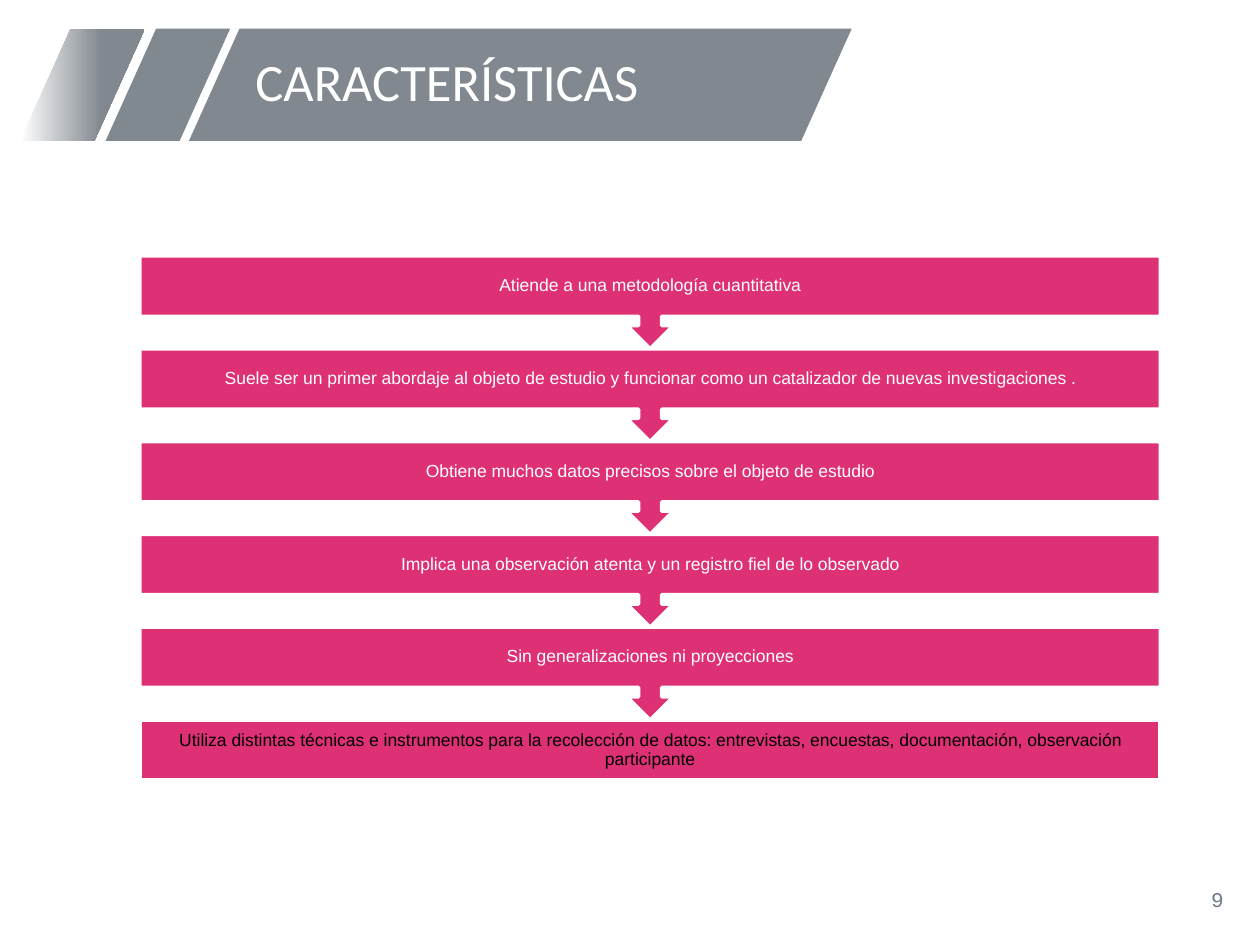
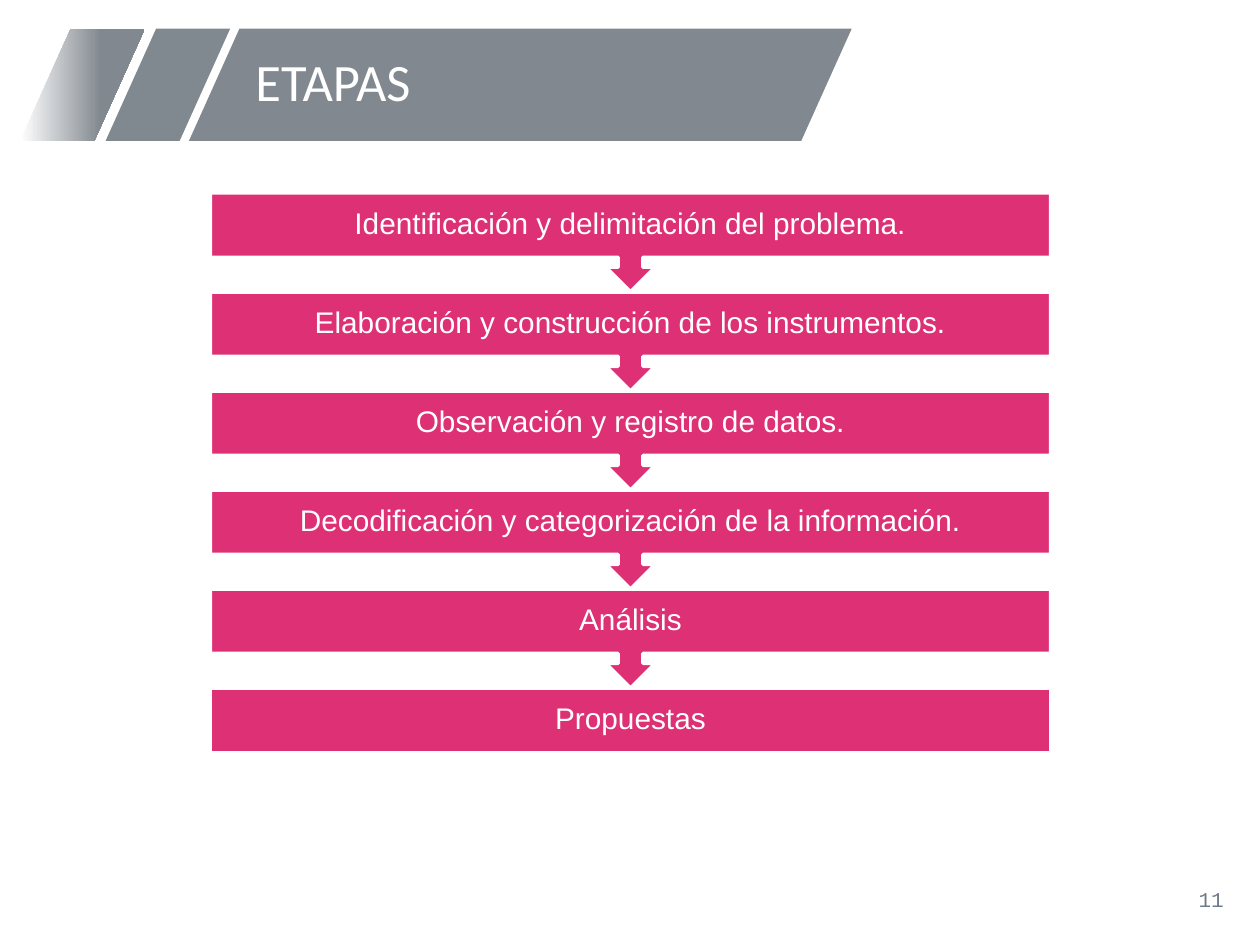
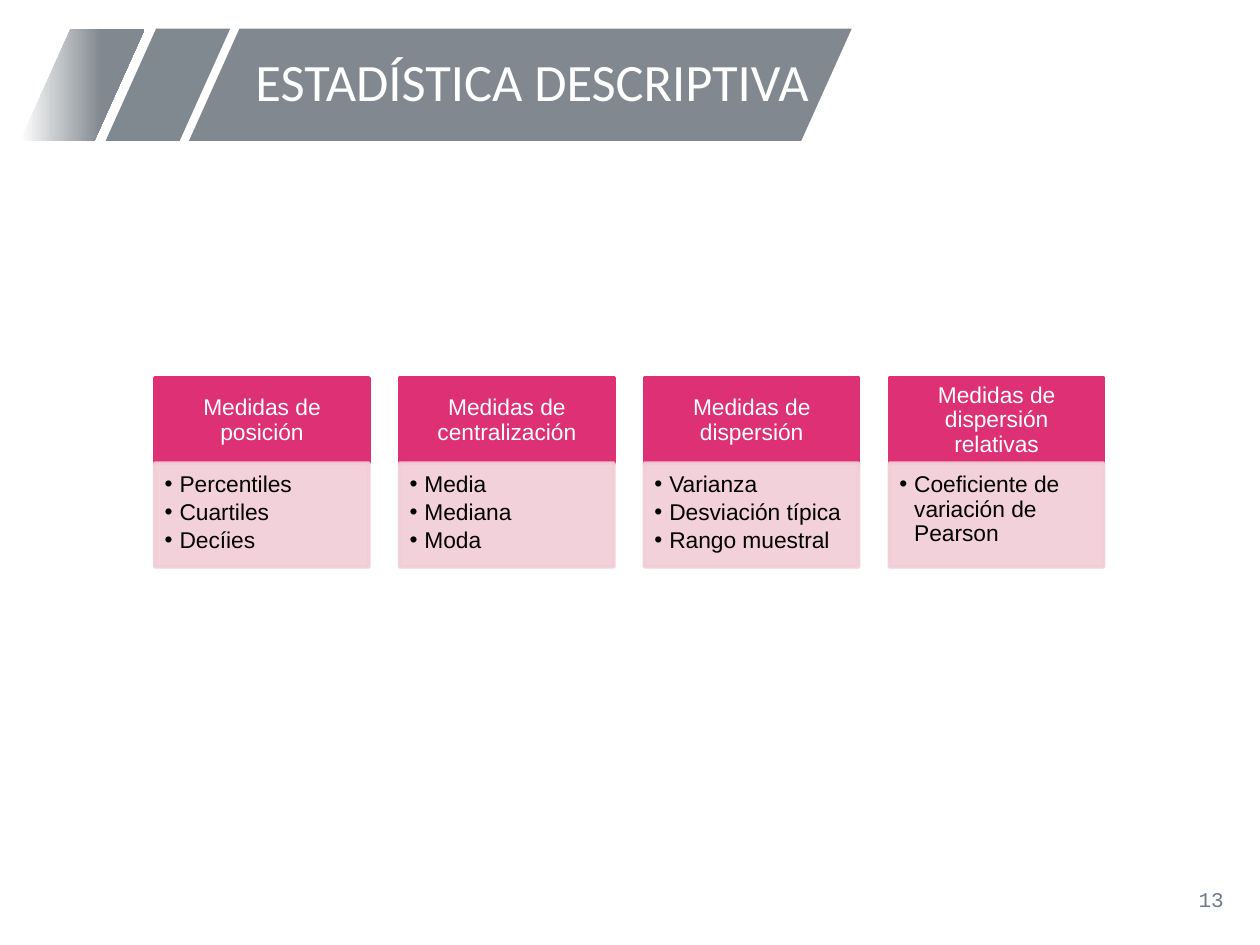
from lxml import etree
from pptx import Presentation
from pptx import util as u
from pptx.dml.color import RGBColor
from pptx.enum import shapes, text
from pptx.oxml import ns

COLORS = {
    "white": "FFFFFF",
    "black": "000000",
    "pink": "DE3075",
    "pale": "F2CDD6",
    "band": "81888F",
    "stripe": "818990",
    "number": "6C7A8A",
}
SHAPE = shapes.MSO_SHAPE
ALIGN = text.PP_ALIGN
ANCHOR = text.MSO_ANCHOR
BODY_RATIO = 0.65
HEAD_RATIO = 0.45

CHARACTERISTICS = [
    "Atiende a una metodología cuantitativa",
    "Suele ser un primer abordaje al objeto de estudio y funcionar como un catalizador de nuevas investigaciones .",
    "Obtiene muchos datos precisos sobre el objeto de estudio",
    "Implica una observación atenta y un registro fiel de lo observado",
    "Sin generalizaciones ni proyecciones",
    "Utiliza distintas técnicas e instrumentos para la recolección de datos: entrevistas, encuestas, "
    "documentación, observación participante",
]
STAGES = [
    "Identificación y delimitación del problema.",
    "Elaboración y construcción de los instrumentos.",
    "Observación y registro de datos.",
    "Decodificación y categorización de la información.",
    "Análisis",
    "Propuestas",
]
MEASURES = {
    "Medidas de posición": ["Percentiles", "Cuartiles", "Decíies"],
    "Medidas de centralización": ["Media", "Mediana", "Moda"],
    "Medidas de dispersión": ["Varianza", "Desviación típica", "Rango muestral"],
    "Medidas de dispersión relativas": ["Coeficiente de variación de Pearson"],
}


def rgb(name):
    return RGBColor.from_string(COLORS[name])


def cm(*lengths):
    return [u.Cm(length) for length in lengths]


def add_block(s, kind, box, fill, line=None):
    sp = s.shapes.add_shape(kind, *cm(*box))
    sp.shadow.inherit = False
    sp.fill.solid()
    sp.fill.fore_color.rgb = rgb(fill)
    if line:
        sp.line.color.rgb = rgb(line)
        sp.line.width = u.Pt(2)
    else:
        sp.line.fill.background()
    return sp


def set_alpha(sp, percent):
    for color in sp.element.spPr.iter(ns.qn("a:srgbClr")):
        etree.SubElement(color, ns.qn("a:alpha"), val=str(percent * 1000))


def add_bullet(p, indent):
    pPr = p._p.get_or_add_pPr()
    pPr.set("marL", str(u.Cm(indent)))
    pPr.set("indent", str(-u.Cm(indent)))
    etree.SubElement(pPr, ns.qn("a:buFont"), typeface="Arial")
    etree.SubElement(pPr, ns.qn("a:buChar"), char="•")


def write(sp, lines, size, color="white", font="Arial", align=ALIGN.CENTER,
          anchor=ANCHOR.MIDDLE, insets=(0.25, 0.13, 0.25, 0.13), bullets=False):
    tf = sp.text_frame
    tf.text = "\n".join(lines)
    tf.word_wrap = True
    tf.auto_size = text.MSO_AUTO_SIZE.NONE
    tf.vertical_anchor = anchor
    tf.margin_left, tf.margin_top, tf.margin_right, tf.margin_bottom = cm(*insets)
    for p in tf.paragraphs:
        if bullets:
            add_bullet(p, 0.3)
            p.space_after = u.Pt(2)
        p.alignment = align
        p.line_spacing = 0.9
        for r in p.runs:
            r.font.size = u.Pt(size)
            r.font.name = font
            r.font.color.rgb = rgb(color)


def add_band(s, layout, box):
    left, top, width, height = box
    stripe = 2.51
    parts = [
        (left + 3.4, width - 3.4, "band"),
        (left + 1.72, stripe, "stripe"),
        (left, stripe, "band"),
    ]
    for index, (x, w, color) in enumerate(parts):
        sp = add_block(s, SHAPE.PARALLELOGRAM, (x, top, w, height), color)
        sp.adjustments[0] = 0.45
        if index == len(parts) - 1:
            sp.fill.gradient()
            sp.fill.gradient_angle = 0
            start, end = sp.fill.gradient_stops
            start.color.rgb = rgb("white")
            end.color.rgb = rgb("band")
            end.position = 0.65
        layout.shapes.element.insert(2 + index, sp.element)


def add_page(prs, title, number):
    s = prs.slides.add_slide(prs.slide_layouts[5])
    sp = s.shapes.title
    sp.left, sp.top, sp.width, sp.height = cm(4.9, 0.58, 11.91, 2.26)
    write(sp, [title], 30, font="Calibri", align=ALIGN.LEFT)
    sp = s.shapes.add_textbox(*cm(19.2, 17.65, 5.72, 1.02))
    write(sp, [number], 12, "number", "Courier New", ALIGN.RIGHT)
    return s


def add_flow(s, box, steps, size, inset, last_color="white"):
    left, top, width, height = box
    pitch = height / (len(steps) - 1 + BODY_RATIO)
    body = pitch * BODY_RATIO
    last = len(steps) - 1
    for index in reversed(range(len(steps))):
        y = top + index * pitch
        if index == last:
            add_block(s, SHAPE.RECTANGLE, (left, y, width, body), "pink", "white")
        else:
            callout = add_block(s, SHAPE.UP_ARROW_CALLOUT, (left, y, width, pitch), "pink", "white")
            callout.rotation = 180
        label = s.shapes.add_textbox(*cm(left, y, width, body))
        write(label, [steps[index]], size, last_color if index == last else "white",
              insets=[inset] * 4)


def add_cards(s, box, cards, card_width):
    left, top, width, height = box
    pitch = (width - card_width) / (len(cards) - 1)
    head = height * HEAD_RATIO
    for index, (heading, items) in enumerate(cards.items()):
        x = left + index * pitch
        sp = add_block(s, SHAPE.RECTANGLE, (x, top, card_width, head), "pink", "pink")
        write(sp, [heading], 13, insets=(0.25, 0.15, 0.25, 0.15))
        sp = add_block(s, SHAPE.RECTANGLE, (x, top + head, card_width, height - head), "pale", "pale")
        set_alpha(sp, 90)
        write(sp, items, 13, "black", align=ALIGN.LEFT, anchor=ANCHOR.TOP,
              insets=(0.2, 0.2, 0.25, 0.28), bullets=True)


def main():
    prs = Presentation()
    prs.slide_width, prs.slide_height = cm(25.4, 19.05)

    s = add_page(prs, "CARACTERÍSTICAS", "9")
    add_band(s, prs.slide_layouts[5], (0.41, 0.58, 16.76, 2.26))
    add_flow(s, (2.82, 5.16, 20.57, 10.57), CHARACTERISTICS, 10, 0.2, "black")

    s = add_page(prs, "ETAPAS", "11")
    add_flow(s, (4.24, 3.89, 16.94, 11.28), STAGES, 17, 0.33)

    s = add_page(prs, "ESTADÍSTICA DESCRIPTIVA", "13")
    add_cards(s, (3.12, 7.62, 19.13, 3.81), MEASURES, 4.32)

    prs.save("out.pptx")


if __name__ == "__main__":
    main()
